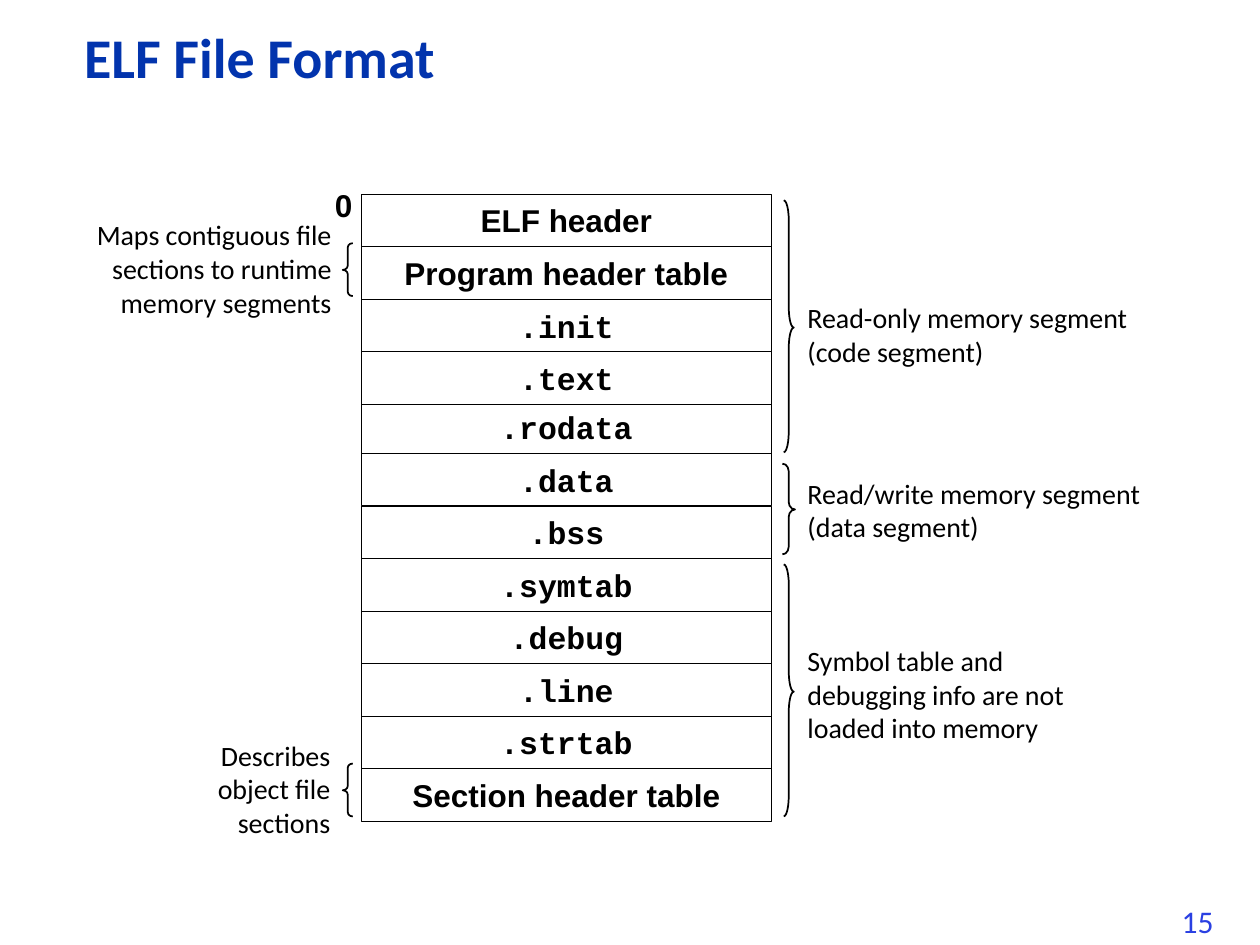
from pptx import Presentation
from pptx.dml.color import RGBColor
from pptx.enum.shapes import MSO_SHAPE
from pptx.enum.text import MSO_ANCHOR, PP_ALIGN
from pptx.util import Inches, Pt

BLACK = RGBColor(0x00, 0x00, 0x00)
WHITE = RGBColor(0xFF, 0xFF, 0xFF)
TITLE_BLUE = RGBColor(0x02, 0x34, 0xAD)
NUMBER_BLUE = RGBColor(0x2A, 0x40, 0xE2)

# Font formats
TITLE = {"name": "Calibri", "size": Pt(32), "bold": True}
NUMBER = {"name": "Calibri", "size": Pt(18)}
NOTE = {"name": "Calibri", "size": Pt(16)}
HEADING = {"name": "Arial", "size": Pt(18), "bold": True}
CODE = {"name": "Courier New", "size": Pt(18), "bold": True}

# Content: file sections in two stacks (top, labels), the upper one overlapping the lower
SECTION_LEFT, SECTION_WIDTH, SECTION_HEIGHT = 2.87, 3.25, 0.417
STACKS = [
    (1.54, ["ELF header", "Program header table", ".init", ".text"]),
    (3.18, [".rodata", ".data", ".bss", ".symtab", ".debug", ".line",
            ".strtab", "Section header table"]),
]

# Left, top, width, height, lines, alignment
NOTES = [
    (0.31, 1.68, 2.42, 0.91,
     ["Maps contiguous file sections to runtime memory segments"], PP_ALIGN.RIGHT),
    (1.39, 5.81, 1.33, 0.91, ["Describes object file sections"], PP_ALIGN.RIGHT),
    (6.31, 2.34, 3.08, 0.64,
     ["Read-only memory segment", "(code segment)"], PP_ALIGN.LEFT),
    (6.31, 3.73, 3.08, 0.64,
     ["Read/write memory segment", "(data segment)"], PP_ALIGN.LEFT),
    (6.31, 5.06, 2.42, 0.90,
     ["Symbol table and debugging info are not", "loaded into memory"], PP_ALIGN.LEFT),
]

# Preset, left, top, width, height, curve
BRACES = [
    (MSO_SHAPE.LEFT_BRACE, 2.72, 1.93, 0.08, 0.42, 0.42),
    (MSO_SHAPE.LEFT_BRACE, 2.72, 6.06, 0.08, 0.42, 0.42),
    (MSO_SHAPE.RIGHT_BRACE, 6.22, 1.59, 0.08, 2, 2),
    (MSO_SHAPE.RIGHT_BRACE, 6.21, 3.68, 0.10, 0.72, 0.6),
    (MSO_SHAPE.RIGHT_BRACE, 6.22, 4.48, 0.08, 2, 2),
]


def write(frame, lines, font_format, color=BLACK, align=PP_ALIGN.LEFT,
          wrap=True, anchor=MSO_ANCHOR.TOP):
    frame.word_wrap = wrap
    frame.vertical_anchor = anchor
    for index, line in enumerate(lines):
        paragraph = frame.paragraphs[0] if index == 0 else frame.add_paragraph()
        paragraph.alignment = align
        run = paragraph.add_run()
        run.text = line
        run.font.color.rgb = color
        for attribute, value in font_format.items():
            setattr(run.font, attribute, value)


def add_text(slide, box, lines, font_format, **options):
    frame = slide.shapes.add_textbox(*map(Inches, box)).text_frame
    write(frame, lines, font_format, **options)
    return frame


def add_outline(slide, preset, box, line_width):
    shape = slide.shapes.add_shape(preset, *map(Inches, box))
    shape.shadow.inherit = False
    shape.line.color.rgb = BLACK
    shape.line.width = Pt(line_width)
    return shape


def main():
    deck = Presentation()
    deck.slide_width, deck.slide_height = Inches(10), Inches(7.5)
    slide = deck.slides.add_slide(deck.slide_layouts[6])

    # Title and slide number
    title = add_text(slide, (0.57, 0.19, 7.83, 0.58), ["ELF File Format"], TITLE,
                     color=TITLE_BLUE, anchor=MSO_ANCHOR.MIDDLE)
    title.paragraphs[0].line_spacing = 0.9
    add_text(slide, (9.28, 7.11, 0.51, 0.4), ["15"], NUMBER,
             color=NUMBER_BLUE, wrap=False)

    # File sections, lowest first so that each upper one covers the next
    for stack_top, labels in reversed(STACKS):
        for row, label in reversed(list(enumerate(labels))):
            box = (SECTION_LEFT, stack_top + row * SECTION_HEIGHT,
                   SECTION_WIDTH, SECTION_HEIGHT)
            section = add_outline(slide, MSO_SHAPE.RECTANGLE, box, 0.25)
            section.fill.solid()
            section.fill.fore_color.rgb = WHITE
            write(section.text_frame, [label],
                  CODE if label.startswith(".") else HEADING,
                  align=PP_ALIGN.CENTER, wrap=False, anchor=MSO_ANCHOR.MIDDLE)

    # Start offset
    add_text(slide, (2.56, 1.43, 0.32, 0.37), ["0"], HEADING, wrap=False)

    # Braces and their notes
    for preset, *box, curve in BRACES:
        brace = add_outline(slide, preset, box, 1)
        brace.fill.background()
        brace.adjustments[0] = curve
        brace.adjustments[1] = 0.505
    for *box, lines, align in NOTES:
        add_text(slide, box, lines, NOTE, align=align)

    deck.save("out.pptx")


if __name__ == "__main__":
    main()
